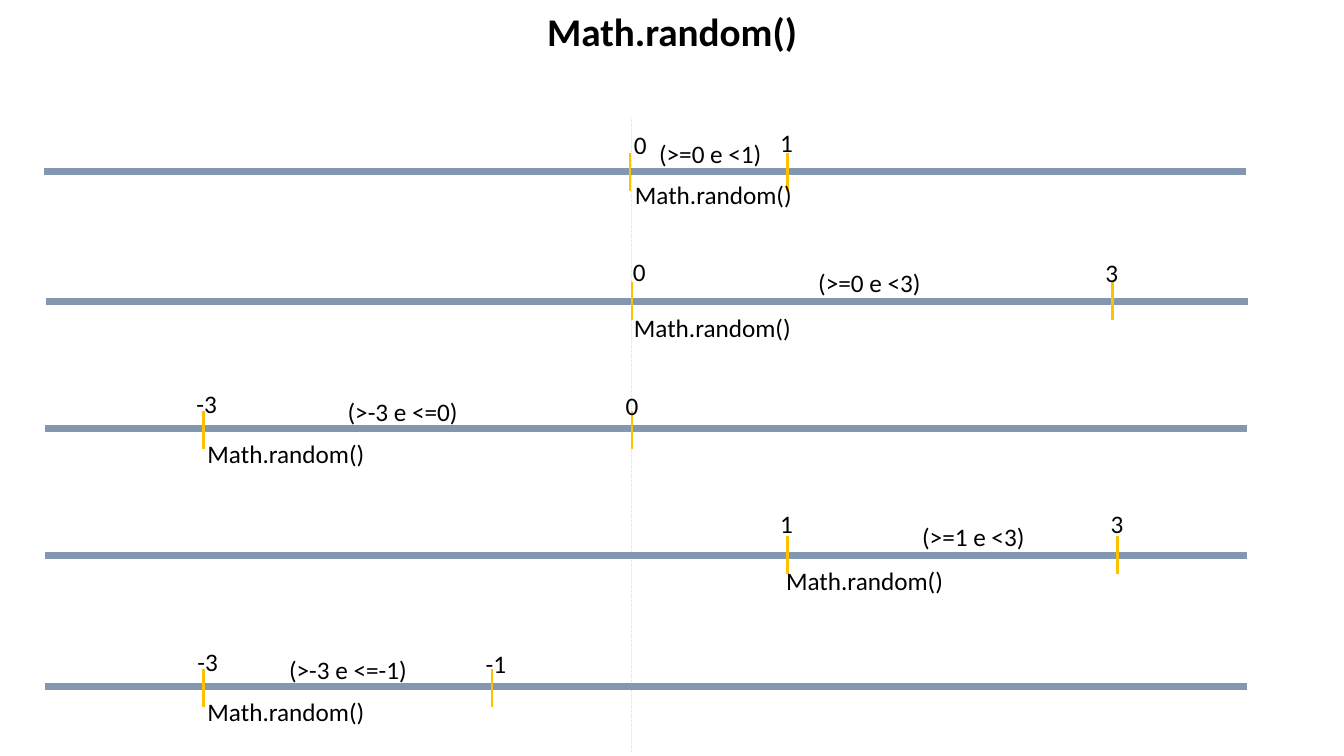
import pptx
import pptx.util
import pptx.dml.color
import pptx.enum.dml
import pptx.enum.shapes
import pptx.enum.text
import pptx.oxml.ns
import lxml.etree

Pt = pptx.util.Pt
COLOURS = {"text": "000000", "axis": "8497B0", "tick": "FFC000", "guide": "DAE3F3"}
AXIS_LENGTH = 858.2
TICK_HEIGHT = 27
TEXT_HEIGHT = 29
CALL_WIDTH = 128.2
EXTRA_CHAR = 5.7  # width each further character adds to a label

# Per number line: axis start, top of the ticks,
# ticks as (x, number, number position), interval and call with positions
NUMBER_LINES = [
    ((31.7, 122.4), 109.4,
     [(450, "0", (445.7, 88.6)), (562.3, "1", (550.1, 87.1))],
     ("(>=0 e <1)", (463.7, 95)), (446.4, 124.6)),
    ((33.1, 215.3), 201.6,
     [(451.4, "0", (445, 179.3)), (794.9, "3", (782.6, 180))],
     ("(>=0 e <3)", (577.4, 187.2)), (445.7, 219.6)),
    ((32.4, 306), 293.8,
     [(145.4, "-3", (133.2, 273.6)), (451.4, "0", (439.9, 275))],
     ("(>-3 e <=0)", (241.2, 279.4)), (141.1, 309.6)),
    ((32.4, 396.7), 383,
     [(562.3, "1", (550.1, 359.3)), (798.5, "3", (786.2, 359.3))],
     ("(>=1 e <3)", (651.6, 368.6)), (554.4, 400.3)),
    ((32.4, 490.3), 478.1,
     [(145.4, "-3", (133.9, 457.9)), (351.4, "-1", (339.8, 459.4))],
     ("(>-3 e <=-1)", (199.4, 463.7)), (141.1, 493.9)),
]


def add_text(slide, text, position, width, height=TEXT_HEIGHT, size=18,
             bold=False, wrap=False, align=pptx.enum.text.PP_ALIGN.LEFT):
    left, top = position
    frame = slide.shapes.add_textbox(Pt(left), Pt(top), Pt(width), Pt(height)).text_frame
    frame.word_wrap = wrap
    frame.auto_size = pptx.enum.text.MSO_AUTO_SIZE.SHAPE_TO_FIT_TEXT
    paragraph = frame.paragraphs[0]
    paragraph.alignment = align
    run = paragraph.add_run()
    run.text = text
    run.font.name = "Calibri"
    run.font.size = Pt(size)
    run.font.bold = bold
    run.font.color.rgb = pptx.dml.color.RGBColor.from_string(COLOURS["text"])


def add_line(slide, start, end, colour, weight, dash=None):
    line = slide.shapes.add_connector(
        pptx.enum.shapes.MSO_CONNECTOR.STRAIGHT, *map(Pt, start + end))
    line.line.color.rgb = pptx.dml.color.RGBColor.from_string(COLOURS[colour])
    line.line.width = Pt(weight)
    if dash is not None:
        line.line.dash_style = dash
    lxml.etree.SubElement(line._element.spPr, pptx.oxml.ns.qn("a:effectLst"))


def add_number_line(slide, axis_start, tick_top, ticks, interval, call_position):
    left, axis_y = axis_start
    add_line(slide, axis_start, (left + AXIS_LENGTH, axis_y), "axis", 4.75)
    for x, number, number_position in ticks:
        add_line(slide, (x, tick_top), (x, tick_top + TICK_HEIGHT), "tick", 2)
        add_text(slide, number, number_position, 23.8 + EXTRA_CHAR * (len(number) - 1))
    condition, condition_position = interval
    add_text(slide, condition, condition_position,
             88.6 + EXTRA_CHAR * (len(condition) - 10))
    add_text(slide, "Math.random()", call_position, CALL_WIDTH)


def main():
    deck = pptx.Presentation()
    deck.slide_width, deck.slide_height = Pt(960), Pt(540)
    slide = deck.slides.add_slide(deck.slide_layouts[6])

    # Title
    add_text(slide, "Math.random()", (0, 1.4), 960, height=41, size=28, bold=True,
             wrap=True, align=pptx.enum.text.PP_ALIGN.CENTER)

    # Guide through zero
    add_line(slide, (450.7, 84.2), (450.7, 537.1), "guide", 0.25,
             dash=pptx.enum.dml.MSO_LINE.DASH)

    # Number lines
    for number_line in NUMBER_LINES:
        add_number_line(slide, *number_line)

    deck.save("out.pptx")


if __name__ == "__main__":
    main()
